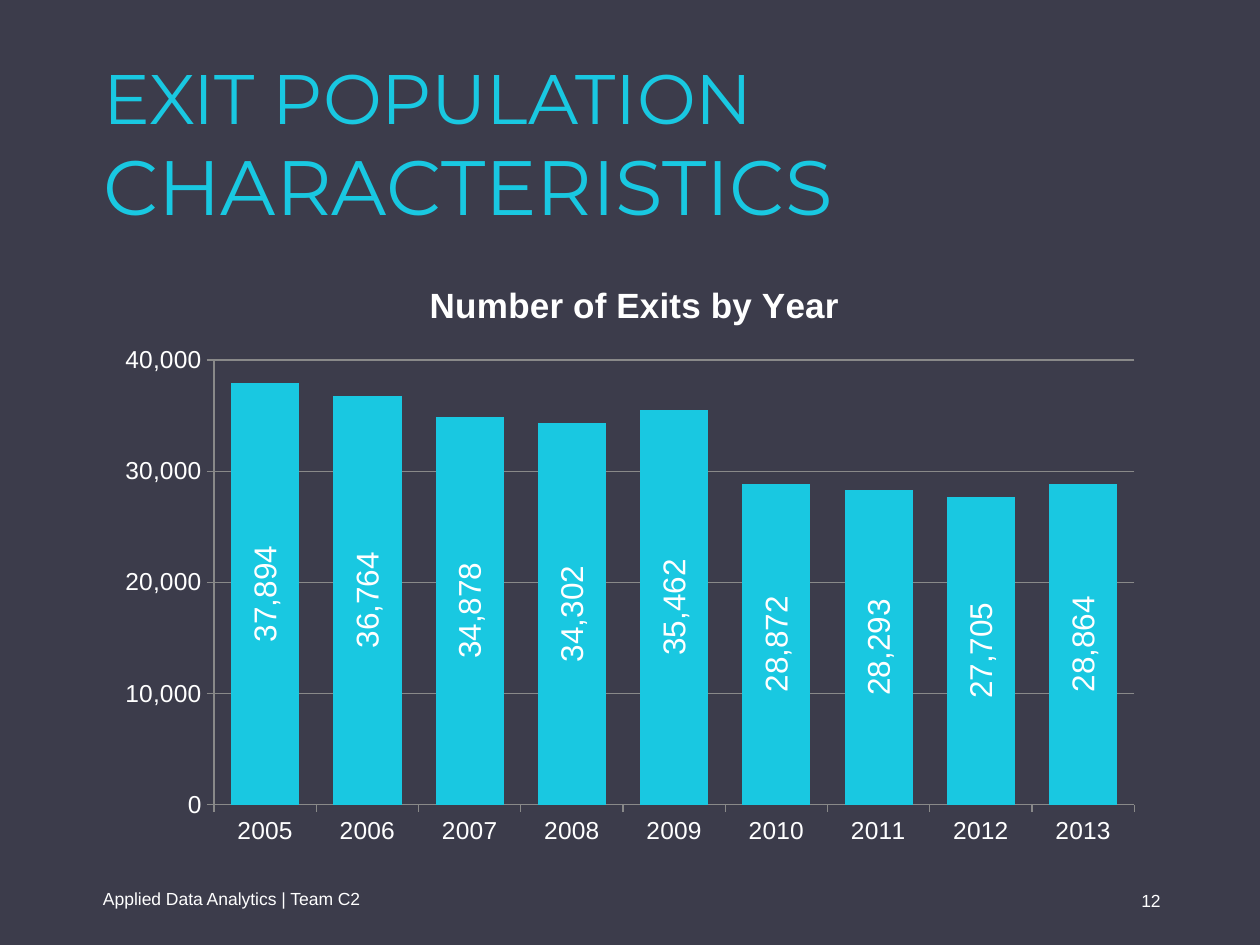
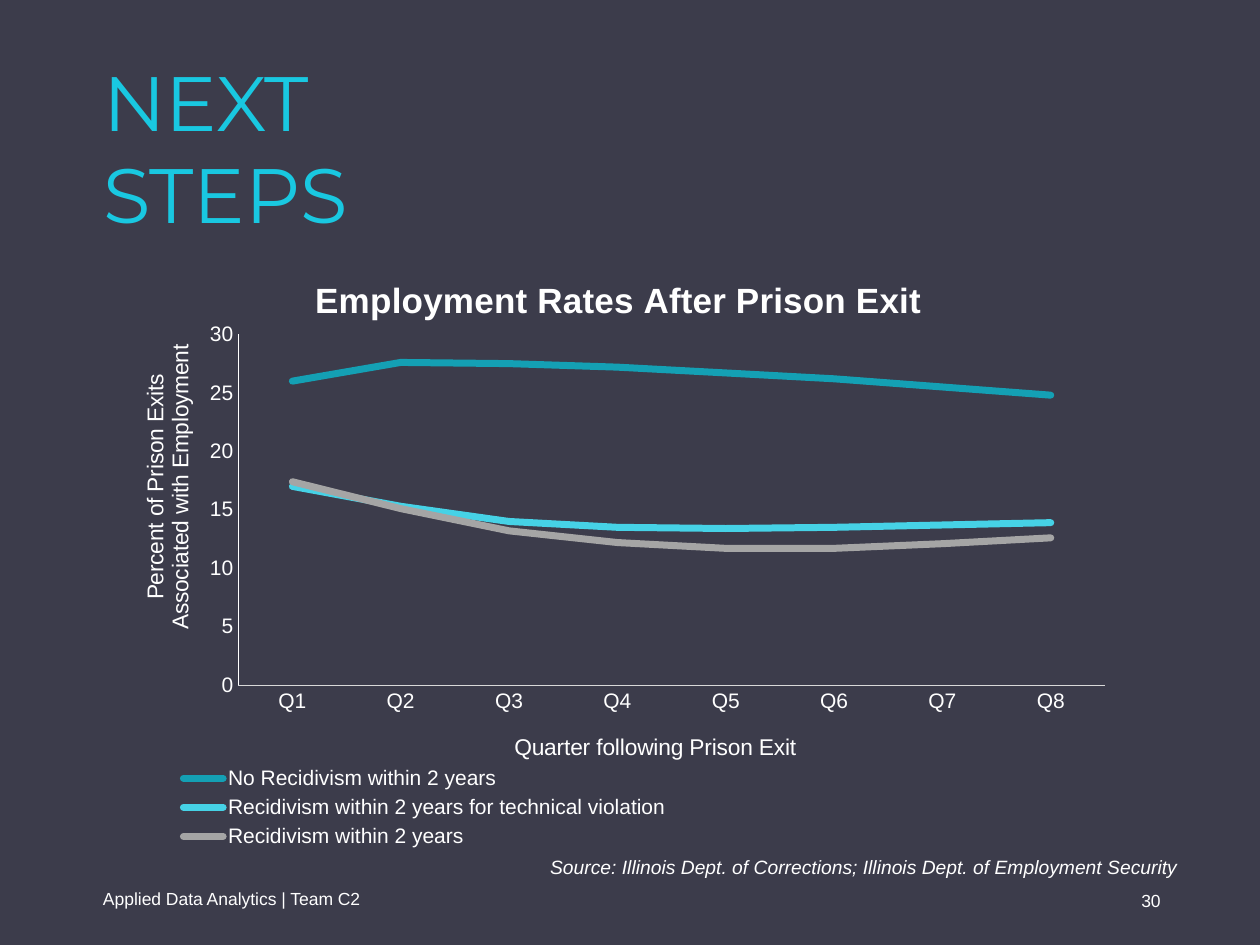
from dataclasses import dataclass
from lxml import etree
from pptx import Presentation
from pptx.chart.data import CategoryChartData
from pptx.dml.color import RGBColor
from pptx.enum import chart as ch, text as tx
from pptx.oxml.ns import qn
from pptx.util import Pt


@dataclass(frozen=True)
class Theme:
    ground: str = "3C3C4B"
    accent: str = "19C8E1"
    white: str = "FFFFFF"
    grid: str = "898989"
    axis: str = "D9D9D9"
    head_font: str = "Montserrat"
    body_font: str = "Arial"
    chart_title: int = 20
    bar_label: int = 18
    bar_tick: int = 14
    axis_title: int = 13
    line_tick: int = 12
    source: int = 11
    footer: int = 10


THEME = Theme()
FOOTER = "Applied Data Analytics | Team C2"

EXITS = {
    "number": "12",
    "heading": [("EXIT POPULATION", 40), ("CHARACTERISTICS", 44)],
    "box": (62.6, 144, 597.6, 343.4),
    "title": "Number of Exits by Year",
    "title_at": (0.3, 0.04),
    "plot_at": (0.1, 0.18, 0.88, 0.74),
    "categories": [str(year) for year in range(2005, 2014)],
    "series": [
        ("Series 1", THEME.accent,
         [37894, 36764, 34878, 34302, 35462, 28872, 28293, 27705, 28864]),
    ],
    "scale": (40000, 10000, "#,##0"),
}

EMPLOYMENT = {
    "number": "30",
    "heading": [("NEXT", 44), ("STEPS", 44)],
    "box": (67, 141, 576, 358),
    "title": "Employment Rates After Prison Exit",
    "title_at": (0.19, 0.04),
    "plot_at": (0.12, 0.14, 0.86, 0.56),
    "categories": [f"Q{quarter}" for quarter in range(1, 9)],
    "series": [
        ("No Recidivism within 2 years", "14A0B4",
         [26, 27.6, 27.5, 27.2, 26.7, 26.2, 25.5, 24.8]),
        ("Recidivism within 2 years for technical violation", "46D2E6",
         [17, 15.3, 14, 13.5, 13.4, 13.5, 13.7, 13.9]),
        ("Recidivism within 2 years", "A5A5A5",
         [17.4, 15.1, 13.2, 12.2, 11.7, 11.7, 12.1, 12.6]),
    ],
    "scale": (30, 5, "General"),
    "quarter_title": "Quarter following Prison Exit",
    "quarter_at": (0.39, 0.77),
    "percent_title": "Percent of Prison Exits\nAssociated with Employment",
    "percent_at": (0.02, 0.15),
    "legend_at": (0.03, 0.82, 0.55, 0.15),
    "source": "Source: Illinois Dept. of Corrections; Illinois Dept. of Employment Security",
}


def style(font, size, color=THEME.white, name=THEME.body_font, bold=False, italic=False):
    font.size, font.name, font.bold, font.italic = Pt(size), name, bold, italic
    font.color.rgb = RGBColor.from_string(color)


def write(frame, lines, align=None, spacing=None, **font):
    for i, (words, size) in enumerate(lines):
        line = frame.add_paragraph() if i else frame.paragraphs[0]
        line.alignment, line.line_spacing = align, spacing
        run = line.add_run()
        run.text = words
        style(run.font, size, **font)


def add_text(slide, box, lines, anchor=tx.MSO_ANCHOR.MIDDLE, grow=False, **form):
    frame = slide.shapes.add_textbox(*map(Pt, box)).text_frame
    frame.word_wrap, frame.vertical_anchor = True, anchor
    if grow:
        frame.auto_size = tx.MSO_AUTO_SIZE.SHAPE_TO_FIT_TEXT
    write(frame, lines, **form)


def place(part, at, inner=False):
    layout = part.find(qn("c:layout"))
    if layout is not None:
        part.remove(layout)
    layout = etree.Element(qn("c:layout"))
    overlay = part.find(qn("c:overlay"))
    part.insert(0 if overlay is None else part.index(overlay), layout)
    manual = etree.SubElement(layout, qn("c:manualLayout"))
    settings = [("layoutTarget", "inner")] if inner else []
    settings += [("xMode", "edge"), ("yMode", "edge")]
    settings += zip("xywh", map(str, at))
    for tag, value in settings:
        etree.SubElement(manual, qn("c:" + tag)).set("val", value)


def write_title(title, words, at, size, bold=False):
    write(title.text_frame, [(line, size) for line in words.split("\n")], bold=bold)
    place(title._element, at)


def paint_line(line, color, width):
    line.color.rgb = RGBColor.from_string(color)
    line.width = Pt(width)


def add_chart(slide, content, kind, tick_size, tick_mark):
    data = CategoryChartData()
    data.categories = content["categories"]
    for name, _, values in content["series"]:
        data.add_series(name, values)
    chart = slide.shapes.add_chart(kind, *map(Pt, content["box"]), data).chart
    style(chart.font, tick_size)
    chart.has_title, chart.has_legend = True, False
    write_title(chart.chart_title, content["title"], content["title_at"],
                THEME.chart_title, bold=True)
    place(chart._chartSpace.chart.plotArea, content["plot_at"], inner=True)
    chart.plots[0].vary_by_categories = False
    for axis in (chart.category_axis, chart.value_axis):
        axis.major_tick_mark, axis.minor_tick_mark = tick_mark, ch.XL_TICK_MARK.NONE
        axis.has_major_gridlines = False
        style(axis.tick_labels.font, tick_size)
    scale = chart.value_axis
    scale.minimum_scale = 0
    scale.maximum_scale, scale.major_unit, number_format = content["scale"]
    scale.tick_labels.number_format = number_format
    scale.tick_labels.number_format_is_linked = False
    return chart


def start_slide(deck, content):
    slide = deck.slides.add_slide(deck.slide_layouts[6])
    slide.background.fill.solid()
    slide.background.fill.fore_color.rgb = RGBColor.from_string(THEME.ground)
    add_text(slide, (51.8, 499, 167.8, 28.8), [(FOOTER, THEME.footer)])
    add_text(slide, (508.3, 500.4, 162, 28.8), [(content["number"], THEME.footer)],
             align=tx.PP_ALIGN.RIGHT)
    add_text(slide, (51.8, 27.4, 524.2, 110), content["heading"], grow=True,
             anchor=tx.MSO_ANCHOR.TOP, name=THEME.head_font, color=THEME.accent)
    return slide


def build_exits(deck):
    slide = start_slide(deck, EXITS)
    exits = add_chart(slide, EXITS, ch.XL_CHART_TYPE.COLUMN_CLUSTERED,
                      THEME.bar_tick, ch.XL_TICK_MARK.OUTSIDE)
    exits.value_axis.has_major_gridlines = True
    for line in (exits.category_axis.format.line, exits.value_axis.format.line,
                 exits.value_axis.major_gridlines.format.line):
        paint_line(line, THEME.grid, 0.75)
    bars = exits.plots[0]
    bars.gap_width = 50
    fill = bars.series[0].format.fill
    fill.solid()
    fill.fore_color.rgb = RGBColor.from_string(EXITS["series"][0][1])
    counts = bars.series[0].data_labels
    counts.show_value, counts.position = True, ch.XL_LABEL_POSITION.CENTER
    counts.number_format, counts.number_format_is_linked = "#,##0", False
    style(counts.font, THEME.bar_label)
    body = counts._element.find(qn("c:txPr")).find(qn("a:bodyPr"))
    body.set("rot", "-5400000")
    body.set("vert", "horz")


def build_employment(deck):
    slide = start_slide(deck, EMPLOYMENT)
    rates = add_chart(slide, EMPLOYMENT, ch.XL_CHART_TYPE.LINE,
                      THEME.line_tick, ch.XL_TICK_MARK.NONE)
    for axis, key, color in ((rates.category_axis, "quarter", THEME.axis),
                             (rates.value_axis, "percent", THEME.white)):
        paint_line(axis.format.line, color, 0.75)
        write_title(axis.axis_title, EMPLOYMENT[key + "_title"],
                    EMPLOYMENT[key + "_at"], THEME.axis_title)
    body = rates.value_axis.axis_title.text_frame._txBody.find(qn("a:bodyPr"))
    body.set("rot", "-5400000")
    body.set("vert", "horz")
    for group, (_, color, _) in zip(rates.plots[0].series, EMPLOYMENT["series"]):
        group.smooth = False
        group.marker.style = ch.XL_MARKER_STYLE.NONE
        paint_line(group.format.line, color, 4)
        group._element.find(qn("c:spPr")).find(qn("a:ln")).set("cap", "rnd")
    rates.has_legend = True
    rates.legend.position = ch.XL_LEGEND_POSITION.BOTTOM
    rates.legend.include_in_layout = False
    style(rates.legend.font, THEME.line_tick)
    place(rates.legend._element, EMPLOYMENT["legend_at"])
    add_text(slide, (51.8, 476, 628.6, 40), [(EMPLOYMENT["source"], THEME.source)],
             align=tx.PP_ALIGN.RIGHT, spacing=0.9, italic=True)


def main():
    deck = Presentation()
    deck.slide_width, deck.slide_height = Pt(720), Pt(540)
    build_exits(deck)
    build_employment(deck)
    deck.save("out.pptx")


if __name__ == "__main__":
    main()
